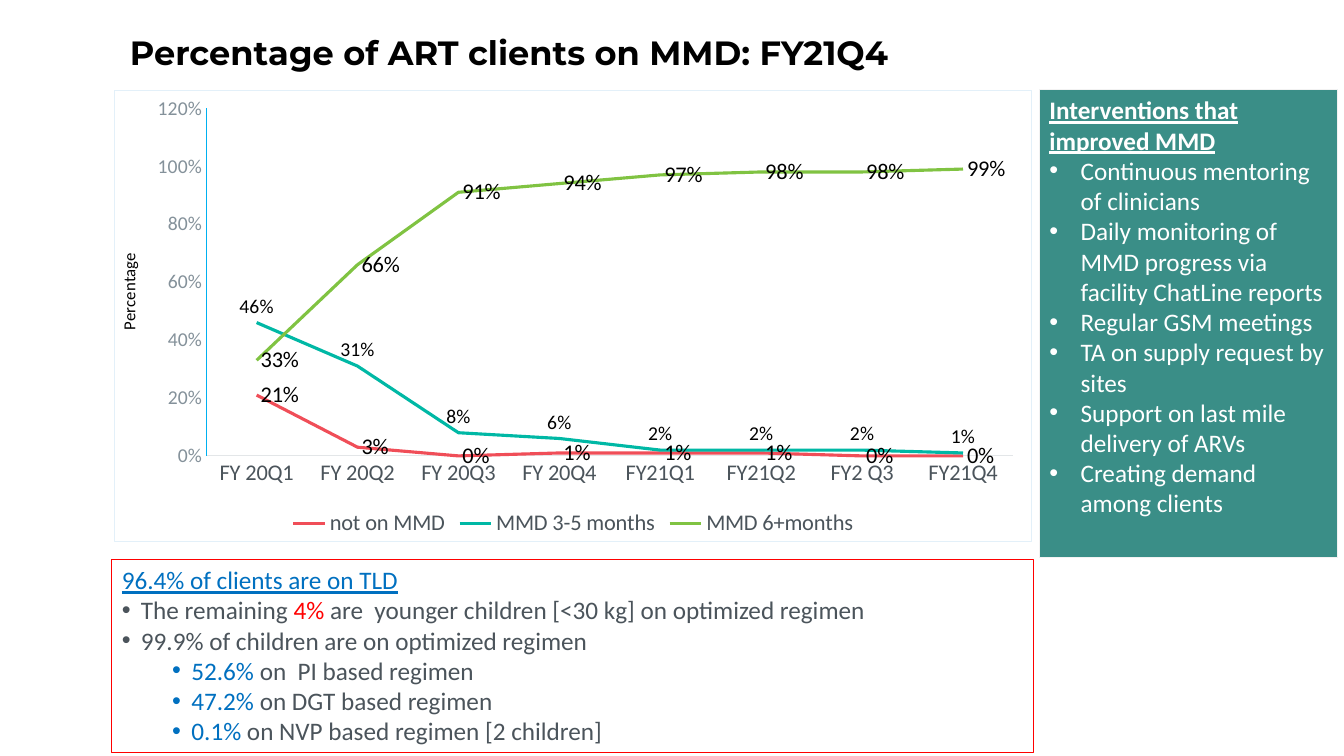
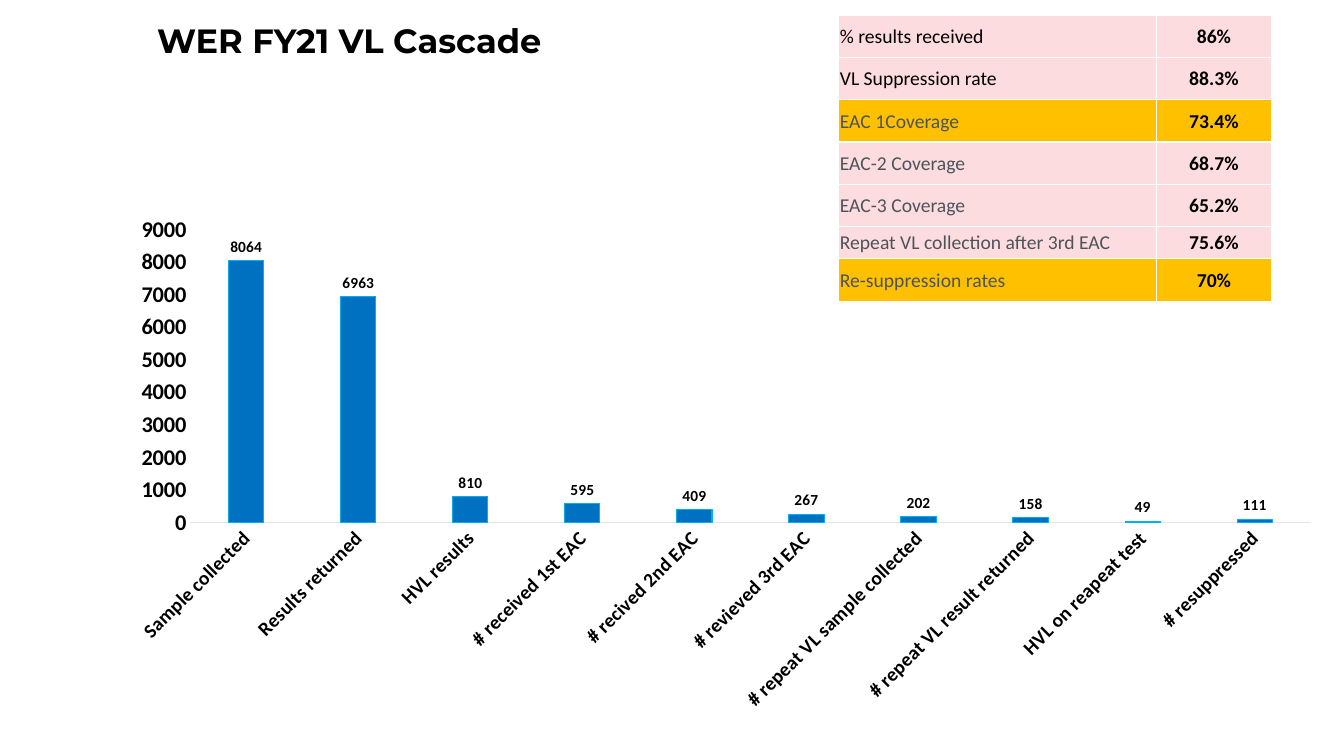
import pptx
import pptx.chart.data
import pptx.dml.color
import pptx.enum.chart
import pptx.enum.shapes
import pptx.enum.text
import pptx.oxml
import pptx.oxml.ns
import pptx.util
from pptx.util import Inches

BLACK, WHITE, GREY, BLUE, RED = "000000", "FFFFFF", "4B545B", "0070C0", "FF0000"
SKY, AXIS_GREY, PALE_GREY = "00B0F0", "E3E6E8", "84919A"
TEAL, PINK, AMBER = "3A8E87", "FCDCDE", "FFC000"
BODY_FONT, TITLE_FONT = "Calibri", "Montserrat"
POSITION = pptx.enum.chart.XL_LABEL_POSITION
NAMESPACES = pptx.oxml.ns.nsdecls("a", "c")

QUARTERS = ["FY 20Q1", "FY 20Q2", "FY 20Q3", "FY 20Q4", "FY21Q1", "FY21Q2", "FY2 Q3", "FY21Q4"]
MMD_SERIES = [
    ("not on MMD", [0.21, 0.03, 0, 0.01, 0.01, 0.01, 0, 0], "F04E58", 16, POSITION.RIGHT),
    ("MMD 3-5 months", [0.46, 0.31, 0.08, 0.06, 0.02, 0.02, 0.02, 0.01], "00B8A5", 14, POSITION.ABOVE),
    ("MMD 6+months", [0.33, 0.66, 0.91, 0.94, 0.97, 0.98, 0.98, 0.99], "80C342", 16, POSITION.RIGHT),
]
REGIMEN_HEADING = ("96.4% of clients are on TLD", BLUE, False)
REGIMEN_BULLETS = [
    (0.19, [("The remaining ", GREY), ("4% ", RED),
            ("are  younger children [<30 kg] on optimized regimen", GREY)]),
    (0.19, [("99.9% of children are on optimized regimen", GREY)]),
    (0.69, [("52.6% ", BLUE), ("on  PI based regimen", GREY)]),
    (0.69, [("47.2% ", BLUE), ("on DGT based regimen", GREY)]),
    (0.69, [("0.1%", BLUE), (" on NVP based regimen [2 children]", GREY)]),
]
INTERVENTION_HEADING = ("Interventions that improved MMD", WHITE, True)
INTERVENTIONS = [
    "Continuous mentoring of clinicians",
    "Daily monitoring of MMD progress via facility ChatLine reports",
    "Regular GSM meetings",
    "TA on supply request by sites",
    "Support on last mile delivery of ARVs",
    "Creating demand among clients",
]
CASCADE = [
    ("Sample collected", 8064), ("Results returned", 6963), ("HVL results", 810),
    ("# received 1st EAC", 595), ("# recived 2nd EAC", 409), ("# revieved 3rd EAC", 267),
    ("# repeat VL sample collected", 202), ("# repeat VL result returned", 158),
    ("HVL on reapeat test", 49), ("# resuppressed", 111),
]
RATES = [
    ("% results received", "86%", BLACK, PINK, 0.42),
    ("VL Suppression rate", "88.3%", BLACK, PINK, 0.42),
    ("EAC 1Coverage", "73.4%", GREY, AMBER, 0.42),
    ("EAC-2 Coverage", "68.7%", GREY, PINK, 0.42),
    ("EAC-3 Coverage", "65.2%", GREY, PINK, 0.42),
    ("Repeat VL collection after 3rd EAC", "75.6%", GREY, PINK, 0.32),
    ("Re-suppression rates", "70%", GREY, AMBER, 0.42),
]
RATE_COLUMNS = [3.15, 1.14]


def rgb(color):
    return pptx.dml.color.RGBColor.from_string(color)


def style_font(font, size, color, bold=False, name=BODY_FONT):
    font.name = name
    font.size = pptx.util.Pt(size)
    font.bold = bold
    font.color.rgb = rgb(color)


def style_line(line, color, width=0.75):
    line.color.rgb = rgb(color)
    line.width = pptx.util.Pt(width)


def fill_solid(fill, color):
    fill.solid()
    fill.fore_color.rgb = rgb(color)


def add_run(paragraph, text, *style, **options):
    run = paragraph.add_run()
    run.text = text
    style_font(run.font, *style, **options)
    return run


def add_title_slide(presentation, title, left, top, width):
    slide = presentation.slides.add_slide(presentation.slide_layouts[6])
    box = slide.shapes.add_textbox(Inches(left), Inches(top), Inches(width), Inches(0.62))
    box.text_frame.word_wrap = True
    add_run(box.text_frame.paragraphs[0], title, 24, BLACK, True, name=TITLE_FONT)
    return slide


def add_bullet_box(slide, position, fill, line, heading, bullets, hanging):
    box = slide.shapes.add_shape(pptx.enum.shapes.MSO_SHAPE.RECTANGLE, *map(Inches, position))
    box.shadow.inherit = False
    if fill:
        fill_solid(box.fill, fill)
    else:
        box.fill.background()
    style_line(box.line, line)
    frame = box.text_frame
    frame.word_wrap = True
    frame.auto_size = pptx.enum.text.MSO_AUTO_SIZE.SHAPE_TO_FIT_TEXT
    frame.vertical_anchor = pptx.enum.text.MSO_ANCHOR.TOP
    text, color, bold = heading
    add_run(frame.paragraphs[0], text, 18, color, bold).font.underline = True
    for indent, runs in bullets:
        paragraph = frame.add_paragraph()
        paragraph.level = int(indent > 0.5)
        properties = paragraph._p.get_or_add_pPr()
        properties.set("marL", str(Inches(indent)))
        properties.set("indent", str(-Inches(hanging)))
        properties.append(pptx.oxml.parse_xml(f'<a:buFont {NAMESPACES} typeface="Arial"/>'))
        properties.append(pptx.oxml.parse_xml(f'<a:buChar {NAMESPACES} char="•"/>'))
        for text, color in runs:
            add_run(paragraph, text, 18, color)
    for paragraph in frame.paragraphs:
        paragraph.alignment = pptx.enum.text.PP_ALIGN.LEFT


def add_chart(slide, kind, position, categories, series, number_format, plot_layout):
    data = pptx.chart.data.CategoryChartData(number_format=number_format)
    data.categories = categories
    for name, values in series:
        data.add_series(name, values)
    chart = slide.shapes.add_chart(kind, *map(Inches, position), data).chart
    chart.has_title = False
    chart.has_legend = False
    style_font(chart.font, 10, GREY)
    chart.plots[0].vary_by_categories = False
    for axis in (chart.category_axis, chart.value_axis):
        axis.has_major_gridlines = False
        axis.major_tick_mark = axis.minor_tick_mark = pptx.enum.chart.XL_TICK_MARK.NONE
    style_line(chart.category_axis.format.line, AXIS_GREY)
    chart.value_axis.tick_labels.number_format = number_format
    chart.value_axis.tick_labels.number_format_is_linked = False
    plot_area = chart._chartSpace.chart.plotArea
    for layout in plot_area.findall(pptx.oxml.ns.qn("c:layout")):
        plot_area.remove(layout)
    parts = "".join(f'<c:{edge}Mode val="edge"/>' for edge in "xy")
    parts += "".join(f'<c:{key} val="{value}"/>' for key, value in zip("xywh", plot_layout))
    plot_area.insert(0, pptx.oxml.parse_xml(
        f'<c:layout {NAMESPACES}><c:manualLayout><c:layoutTarget val="inner"/>'
        f'{parts}</c:manualLayout></c:layout>'))
    return chart


def add_value_labels(series, size, position, number_format, bold=False):
    labels = series.data_labels
    labels.show_value = True
    labels.position = position
    labels.number_format = number_format
    labels.number_format_is_linked = False
    style_font(labels.font, size, BLACK, bold)


def add_mmd_chart(slide):
    chart = add_chart(slide, pptx.enum.chart.XL_CHART_TYPE.LINE, (1.13, 0.89, 9.11, 4.49),
                      QUARTERS, [row[:2] for row in MMD_SERIES], "0%", (0.1, 0.04, 0.88, 0.77))
    chart._chartSpace.chart.addnext(pptx.oxml.parse_xml(
        f'<c:spPr {NAMESPACES}><a:noFill/><a:ln w="9525"><a:solidFill>'
        '<a:srgbClr val="E3F0F9"/></a:solidFill></a:ln></c:spPr>'))
    for series, (_, _, color, size, position) in zip(chart.plots[0].series, MMD_SERIES):
        series.smooth = False
        style_line(series.format.line, color, 2.25)
        add_value_labels(series, size, position, "0%")
    chart.has_legend = True
    chart.legend.position = pptx.enum.chart.XL_LEGEND_POSITION.BOTTOM
    chart.legend.include_in_layout = False
    style_font(chart.legend.font, 16, GREY)
    style_font(chart.category_axis.tick_labels.font, 16, GREY)
    value_axis = chart.value_axis
    style_font(value_axis.tick_labels.font, 14, PALE_GREY)
    style_line(value_axis.format.line, SKY)
    value_axis.minimum_scale, value_axis.maximum_scale, value_axis.major_unit = 0, 1.2, 0.2
    title = value_axis.axis_title.text_frame
    title.text = "Percentage"
    style_font(title.paragraphs[0].runs[0].font, 12, BLACK)


def add_cascade_chart(slide):
    categories, values = zip(*CASCADE)
    chart = add_chart(slide, pptx.enum.chart.XL_CHART_TYPE.COLUMN_CLUSTERED,
                      (1.17, 1.17, 11.95, 6.18), categories, [("Series 1", values)],
                      "General", (0.06, 0.18, 0.93, 0.47))
    chart.plots[0].gap_width = 219
    series = chart.plots[0].series[0]
    fill_solid(series.format.fill, BLUE)
    style_line(series.format.line, SKY)
    add_value_labels(series, 11, POSITION.OUTSIDE_END, "General", True)
    style_font(chart.category_axis.tick_labels.font, 14, BLACK, True)
    chart.category_axis._element.txPr.bodyPr.set("rot", "-2700000")
    value_axis = chart.value_axis
    style_font(value_axis.tick_labels.font, 16, BLACK, True)
    value_axis.format.line.fill.background()
    value_axis.minimum_scale, value_axis.maximum_scale, value_axis.major_unit = 0, 9000, 1000


def style_cell(cell, text, color, bold, alignment, fill):
    cell.margin_left = cell.margin_right = cell.margin_top = Inches(0.01)
    cell.margin_bottom = 0
    cell.vertical_anchor = pptx.enum.text.MSO_ANCHOR.MIDDLE
    paragraph = cell.text_frame.paragraphs[0]
    paragraph.alignment = alignment
    add_run(paragraph, text, 14, color, bold)
    properties = cell._tc.get_or_add_tcPr()
    for side in "LRTB":
        properties.append(pptx.oxml.parse_xml(
            f'<a:ln{side} {NAMESPACES} w="12700"><a:solidFill>'
            f'<a:srgbClr val="{WHITE}"/></a:solidFill></a:ln{side}>'))
    fill_solid(cell.fill, fill)


def add_rates_table(slide):
    heights = [row[-1] for row in RATES]
    table = slide.shapes.add_table(len(RATES), len(RATE_COLUMNS), Inches(8.32), Inches(0.15),
                                   Inches(sum(RATE_COLUMNS)), Inches(sum(heights))).table
    table.first_row = table.horz_banding = False
    for column, width in zip(table.columns, RATE_COLUMNS):
        column.width = Inches(width)
    align = pptx.enum.text.PP_ALIGN
    for row, (label, rate, color, fill, height) in zip(table.rows, RATES):
        row.height = Inches(height)
        style_cell(row.cells[0], label, color, False, align.LEFT, fill)
        style_cell(row.cells[1], rate, BLACK, True, align.CENTER, fill)


def main():
    presentation = pptx.Presentation()
    presentation.slide_width, presentation.slide_height = Inches(13.33), Inches(7.5)

    slide = add_title_slide(presentation, "Percentage of ART clients on MMD: FY21Q4", 1.19, 0.27, 11.24)
    add_mmd_chart(slide)
    add_bullet_box(slide, (1.11, 5.55, 9.14, 1.92), None, RED, REGIMEN_HEADING, REGIMEN_BULLETS, 0.19)
    add_bullet_box(slide, (10.31, 0.89, 2.96, 4.64), TEAL, "F2F2F2", INTERVENTION_HEADING,
                   [(0.31, [(text, WHITE)]) for text in INTERVENTIONS], 0.31)

    slide = add_title_slide(presentation, "WER FY21 VL Cascade", 1.46, 0.15, 11.37)
    add_rates_table(slide)
    add_cascade_chart(slide)

    presentation.save("out.pptx")


if __name__ == "__main__":
    main()
